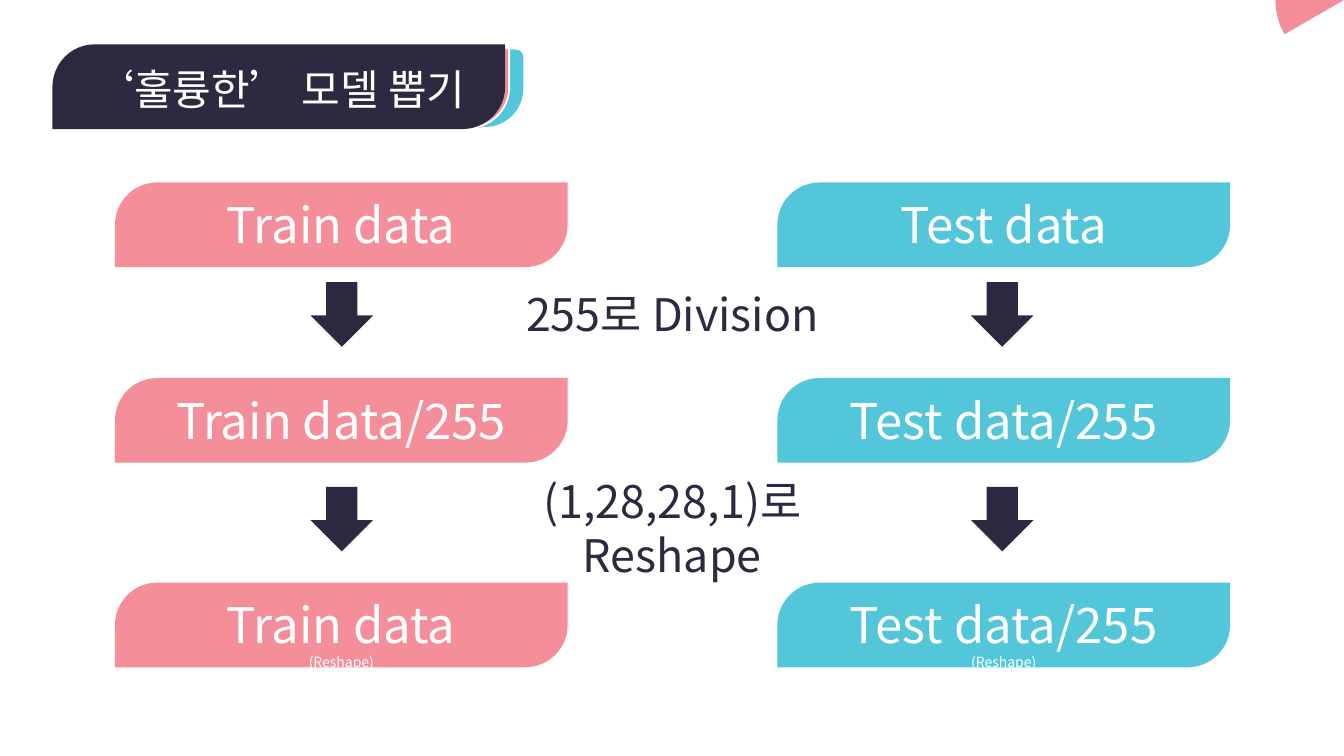
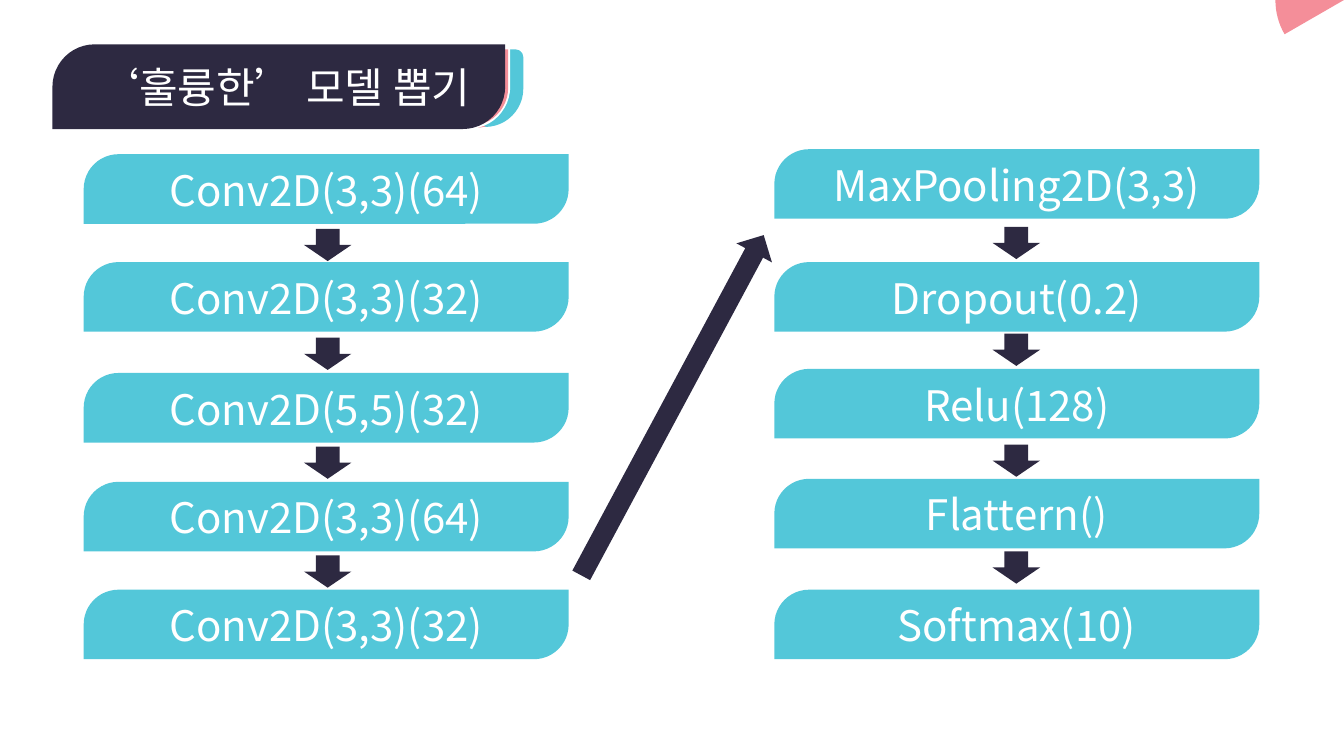
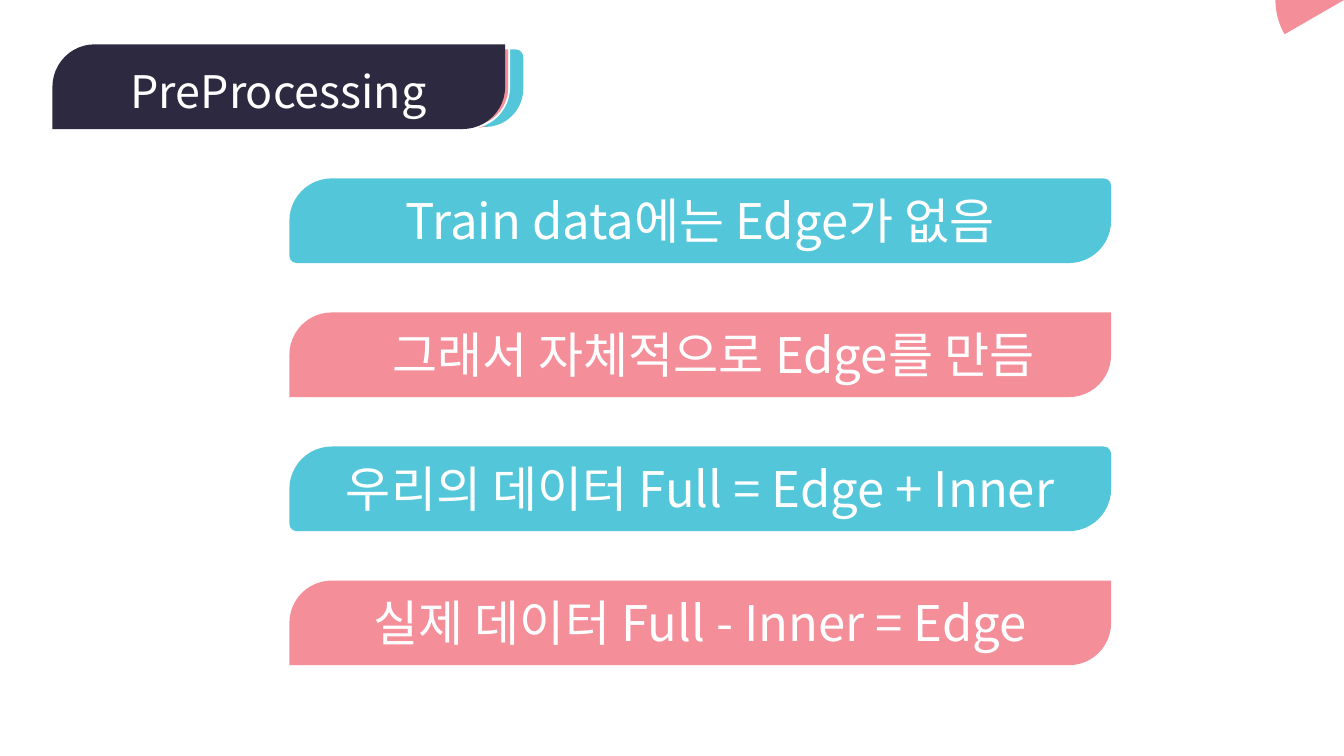
from dataclasses import dataclass

from lxml import etree
from pptx import Presentation
from pptx.dml.color import RGBColor
from pptx.enum.shapes import MSO_SHAPE
from pptx.enum.text import MSO_ANCHOR, PP_ALIGN
from pptx.oxml.ns import qn
from pptx.util import Inches, Pt

NAVY = RGBColor(0x2D, 0x29, 0x41)
PINK = RGBColor(0xF4, 0x8E, 0x99)
CYAN = RGBColor(0x53, 0xC7, 0xD9)
WHITE = RGBColor(0xFF, 0xFF, 0xFF)

FONT = "Noto Sans CJK KR"
LEAF = MSO_SHAPE.ROUND_2_DIAG_RECTANGLE
ARROW = MSO_SHAPE.RIGHT_ARROW
CIRCLE_QUARTER = MSO_SHAPE.PIE
CENTER = PP_ALIGN.CENTER
TOP = MSO_ANCHOR.TOP

SLIDE_WIDTH, SLIDE_HEIGHT = 13.33, 7.5
SOFT_CORNER = 0.086
BAR_HEIGHT = 0.84


@dataclass(frozen=True)
class Box:
    left: float
    top: float
    width: float
    height: float


@dataclass(frozen=True)
class Leaf:
    """A bar with two large round corners and two small ones."""
    box: Box
    color: RGBColor
    corner: float = 0


@dataclass(frozen=True)
class FlowColumn:
    left: float
    arrow_center: float
    color: RGBColor
    labels: list[str]
    tops: list[float]
    arrow_centers: list[float]


TITLE_LAYERS = [
    Leaf(Box(0.7, 0.5, 4.49, 0.76), CYAN, SOFT_CORNER),
    Leaf(Box(0.6, 0.51, 4.49, 0.76), PINK),
    Leaf(Box(0.69, 0.49, 4.49, 0.76), CYAN, SOFT_CORNER),
    Leaf(Box(0.57, 0.44, 4.49, BAR_HEIGHT), WHITE),
    Leaf(Box(0.55, 0.49, 4.49, 0.76), PINK),
]
TITLE_BAR = Leaf(Box(0.52, 0.44, 4.49, BAR_HEIGHT), NAVY)


def write_text(shape, text: str, *, size: float, color: RGBColor = WHITE,
               note_size: float = 10, shift: float = 0, drop: float = 0) -> None:
    """Write centred lines; lines after the first take the note size."""
    frame = shape.text_frame
    frame.word_wrap = True
    frame.vertical_anchor = TOP
    frame.margin_left, frame.margin_right = Inches(2 * shift), 0
    frame.margin_top, frame.margin_bottom = Inches(drop), 0
    for index, line in enumerate(text.split("\n")):
        paragraph = frame.add_paragraph() if index else frame.paragraphs[0]
        paragraph.alignment = CENTER
        run = paragraph.add_run()
        run.text = line
        run.font.size = Pt(note_size if index else size)
        run.font.name = FONT
        run.font.color.rgb = color
        east_asian = etree.SubElement(run.font._element, qn("a:ea"))
        east_asian.set("typeface", FONT)


def add_figure(slide, kind, box: Box, color: RGBColor):
    shape = slide.shapes.add_shape(kind, Inches(box.left), Inches(box.top),
                                   Inches(box.width), Inches(box.height))
    shape.shadow.inherit = False
    shape.fill.solid()
    shape.fill.fore_color.rgb = color
    shape.line.fill.background()
    return shape


def add_leaf(slide, leaf: Leaf):
    shape = add_figure(slide, LEAF, leaf.box, leaf.color)
    shape.adjustments[0] = 0.5
    shape.adjustments[1] = leaf.corner
    return shape


def add_arrow(slide, center_x: float, center_y: float, length: float,
              thickness: float, angle: float = 90) -> None:
    box = Box(center_x - length / 2, center_y - thickness / 2, length, thickness)
    add_figure(slide, ARROW, box, NAVY).rotation = angle


def add_corner(slide, y: float, radius: float, angles: tuple[int, int],
               color: RGBColor) -> None:
    """Add a quarter disc around a right-hand corner of the slide."""
    box = Box(SLIDE_WIDTH - radius, y - radius, 2 * radius, 2 * radius)
    quarter = add_figure(slide, CIRCLE_QUARTER, box, color)
    quarter.adjustments[0], quarter.adjustments[1] = angles


def add_label(slide, text: str, box: Box, size: float) -> None:
    label = slide.shapes.add_textbox(Inches(box.left), Inches(box.top),
                                     Inches(box.width), Inches(box.height))
    write_text(label, text, size=size, color=NAVY, drop=0.05)


def add_base_slide(presentation, title: str, *, size: float = 30,
                   shift: float = 0, drop: float = 0.07):
    slide = presentation.slides.add_slide(presentation.slide_layouts[6])
    for layer in TITLE_LAYERS:
        add_leaf(slide, layer)
    write_text(add_leaf(slide, TITLE_BAR), title, size=size, shift=shift, drop=drop)
    add_corner(slide, SLIDE_HEIGHT, 0.47, (180, -90), CYAN)
    add_corner(slide, 0, 0.68, (90, 180), PINK)
    return slide


def add_flow(slide, column: FlowColumn, *, width: float, height: float,
             size: float, arrow_length: float, arrow_thickness: float) -> None:
    for label, top in zip(column.labels, column.tops):
        leaf = Leaf(Box(column.left, top, width, height), column.color)
        write_text(add_leaf(slide, leaf), label, size=size)
    for center in column.arrow_centers:
        add_arrow(slide, column.arrow_center, center, arrow_length, arrow_thickness)


def build_data_slide(presentation) -> None:
    slide = add_base_slide(presentation, "‘훌륭한’ 모델 뽑기")
    tops, arrow_centers = [1.81, 3.75, 5.78], [3.12, 5.15]
    columns = [
        FlowColumn(1.14, 3.39, PINK,
                   ["Train data", "Train data/255", "Train data\n(Reshape)"],
                   tops, arrow_centers),
        FlowColumn(7.71, 9.94, CYAN,
                   ["Test data", "Test data/255", "Test data/255\n(Reshape)"],
                   tops, arrow_centers),
    ]
    for column in columns:
        add_flow(slide, column, width=4.49, height=BAR_HEIGHT, size=35,
                 arrow_length=0.64, arrow_thickness=0.62)
    add_label(slide, "255로 Division", Box(4.62, 2.8, 4.1, 0.64), 32)
    add_label(slide, "(1,28,28,1)로 Reshape", Box(4.62, 4.65, 4.1, 1.18), 32)


def build_model_slide(presentation) -> None:
    slide = add_base_slide(presentation, "‘훌륭한’ 모델 뽑기", shift=0.05, drop=0.05)
    columns = [
        FlowColumn(0.83, 3.25, CYAN,
                   ["Conv2D(3,3)(64)", "Conv2D(3,3)(32)", "Conv2D(5,5)(32)",
                    "Conv2D(3,3)(64)", "Conv2D(3,3)(32)"],
                   [1.53, 2.6, 3.7, 4.78, 5.85], [2.43, 3.51, 4.59, 5.67]),
        FlowColumn(7.68, 10.08, CYAN,
                   ["MaxPooling2D(3,3)", "Dropout(0.2)", "Relu(128)",
                    "Flattern()", "Softmax(10)"],
                   [1.48, 2.6, 3.66, 4.75, 5.85], [2.41, 3.47, 4.57, 5.63]),
    ]
    for column in columns:
        add_flow(slide, column, width=4.81, height=0.69, size=30,
                 arrow_length=0.32, arrow_thickness=0.47)
    add_arrow(slide, 6.67, 4.02, 3.83, 0.4, angle=298.2)


def build_preprocessing_slide(presentation) -> None:
    slide = add_base_slide(presentation, "PreProcessing", size=32)
    statements = [
        ("Train data에는 Edge가 없음", 0),
        ("그래서 자체적으로 Edge를 만듬", 0.13),
        ("우리의 데이터 Full = Edge + Inner", 0),
        ("실제 데이터 Full - Inner = Edge", 0),
    ]
    for row, (statement, shift) in enumerate(statements):
        color, corner = (PINK, 0) if row % 2 else (CYAN, SOFT_CORNER)
        box = Box(2.87, 1.77 + row * 1.33, 8.15, BAR_HEIGHT)
        write_text(add_leaf(slide, Leaf(box, color, corner)), statement,
                   size=35, shift=shift)


def main() -> None:
    presentation = Presentation()
    presentation.slide_width = Inches(SLIDE_WIDTH)
    presentation.slide_height = Inches(SLIDE_HEIGHT)
    build_data_slide(presentation)
    build_model_slide(presentation)
    build_preprocessing_slide(presentation)
    presentation.save("out.pptx")


if __name__ == "__main__":
    main()
